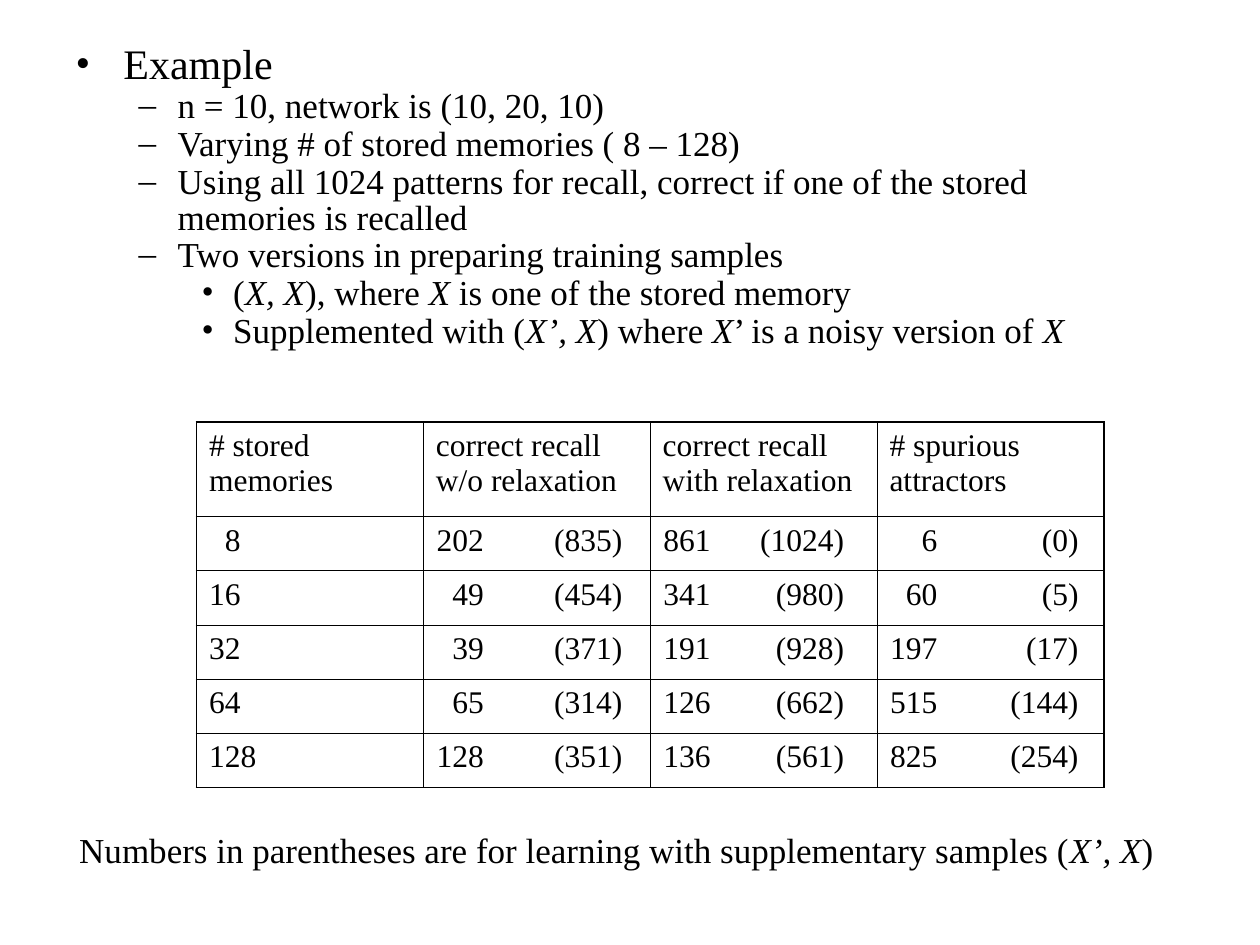
"""Build the slide on recall results of an example network with stored memories."""
from lxml import etree
from pptx import Presentation
from pptx.dml.color import RGBColor
from pptx.enum.dml import MSO_FILL
from pptx.enum.text import MSO_ANCHOR, MSO_AUTO_SIZE
from pptx.oxml.ns import qn
from pptx.util import Inches, Pt

NO_FIT = MSO_AUTO_SIZE.NONE
TOP = MSO_ANCHOR.TOP
BLACK = "000000"
FONT = "Times New Roman"


def color(hex_string):
    return RGBColor.from_string(hex_string)


def add_runs(paragraph, marked_text, size):
    for index, piece in enumerate(marked_text.split("*")):
        if piece:
            run = paragraph.add_run()
            run.text = piece
            run_format = {"name": FONT, "size": Pt(size), "italic": index % 2 == 1}
            for attribute, value in run_format.items():
                setattr(run.font, attribute, value)
            run.font.color.rgb = color(BLACK)


deck = Presentation()
deck.slide_width, deck.slide_height = Inches(10), Inches(7.5)
slide = deck.slides.add_slide(deck.slide_layouts[1])
unused_title = slide.shapes.title.element
unused_title.getparent().remove(unused_title)

outline = slide.placeholders[1]
outline_box = {"left": 0.5, "top": 0.31, "width": 8.31, "height": 2.74}
for attribute, value in outline_box.items():
    setattr(outline, attribute, Inches(value))
outline.text_frame.auto_size = NO_FIT

levels = [
    {"size": 24, "margin": 0.38, "hanging": 0.38, "before": 1.5, "bullet": "•"},
    {"size": 20, "margin": 0.81, "hanging": 0.31, "before": 1.2, "bullet": "–"},
    {"size": 20, "margin": 1.25, "hanging": 0.25, "before": 1.2, "bullet": "•"},
]
points = [
    (0, "Example"),
    (1, "n = 10, network is (10, 20, 10)"),
    (1, "Varying # of stored memories ( 8 – 128)"),
    (1, "Using all 1024 patterns for recall, correct if one of the stored memories is recalled"),
    (1, "Two versions in preparing training samples"),
    (2, "(*X, X*), where *X* is one of the stored memory"),
    (2, "Supplemented with (*X’, X*) where *X*’ is a noisy version of *X*"),
]
for index, (level, point_text) in enumerate(points):
    style = levels[level]
    point = outline.text_frame.paragraphs[0] if index == 0 else outline.text_frame.add_paragraph()
    add_runs(point, point_text, style["size"])
    point_format = {"level": level, "line_spacing": 0.85, "space_before": Pt(style["before"])}
    for attribute, value in point_format.items():
        setattr(point, attribute, value)
    properties = point._p.get_or_add_pPr()
    properties.set("marL", str(Inches(style["margin"])))
    properties.set("indent", str(-Inches(style["hanging"])))
    bullet_color = etree.SubElement(properties, qn("a:buClr"))
    etree.SubElement(bullet_color, qn("a:srgbClr"), val=BLACK)
    etree.SubElement(properties, qn("a:buFont"), typeface=FONT)
    etree.SubElement(properties, qn("a:buChar"), char=style["bullet"])

results = [
    ["# stored memories", "correct recall w/o relaxation",
     "correct recall with relaxation", "# spurious attractors"],
    ["\t8", "\t202\t(835)", "\t861\t(1024)", "\t6\t(0)"],
    ["\t16", "\t49\t(454)", "\t341\t(980)", "\t60\t(5)"],
    ["\t32", "\t39\t(371)", "\t191\t(928)", "\t197\t(17)"],
    ["\t64", "\t65\t(314)", "\t126\t(662)", "\t515\t(144)"],
    ["128", "\t128\t(351)", "\t136\t(561)", "\t825\t(254)"],
]
right_tabs = [[0.25], [0.38, 1.48], [0.38, 1.44], [0.38, 1.5]]
row_count, column_count = len(results), len(results[0])
recall_frame = slide.shapes.add_table(
    row_count, column_count, Inches(1.56), Inches(3.35), Inches(7.2), Inches(2.9))
recall_table = recall_frame.table
for flag in ("first_row", "horz_banding"):
    setattr(recall_table, flag, False)
for column in recall_table.columns:
    column.width = Inches(1.8)
for row_index, row in enumerate(recall_table.rows):
    row.height = Inches(0.43 if row_index else 0.75)
    for column_index, cell in enumerate(row.cells):
        cell.fill.background()
        cell.vertical_anchor = TOP
        entry = cell.text_frame.paragraphs[0]
        add_runs(entry, results[row_index][column_index], 18)
        entry.space_before = Pt(4.5)
        if row_index:
            tab_list = etree.SubElement(entry._p.get_or_add_pPr(), qn("a:tabLst"))
            for position in right_tabs[column_index]:
                etree.SubElement(tab_list, qn("a:tab"), pos=str(Inches(position)), algn="r")
        outer_sides = {
            "a:lnL": column_index == 0,
            "a:lnR": column_index == column_count - 1,
            "a:lnT": row_index == 0,
            "a:lnB": row_index == row_count - 1,
        }
        cell_properties = cell._tc.get_or_add_tcPr()
        for order, (side, is_outer) in enumerate(outer_sides.items()):
            border = etree.Element(qn(side), w=str(Pt(1.08 if is_outer else 0.45)))
            border_fill = etree.SubElement(border, qn("a:solidFill"))
            etree.SubElement(border_fill, qn("a:srgbClr"), val=BLACK)
            cell_properties.insert(order, border)

footnote = slide.shapes.add_textbox(Inches(0.53), Inches(6.55), Inches(8.98), Inches(0.54))
footnote.text_frame.word_wrap = True
footnote_line = footnote.text_frame.paragraphs[0]
footnote_line.line_spacing = 0.95
add_runs(footnote_line, "Numbers in parentheses are for learning with supplementary samples (*X’, X*)", 20)

deck.save("out.pptx")
